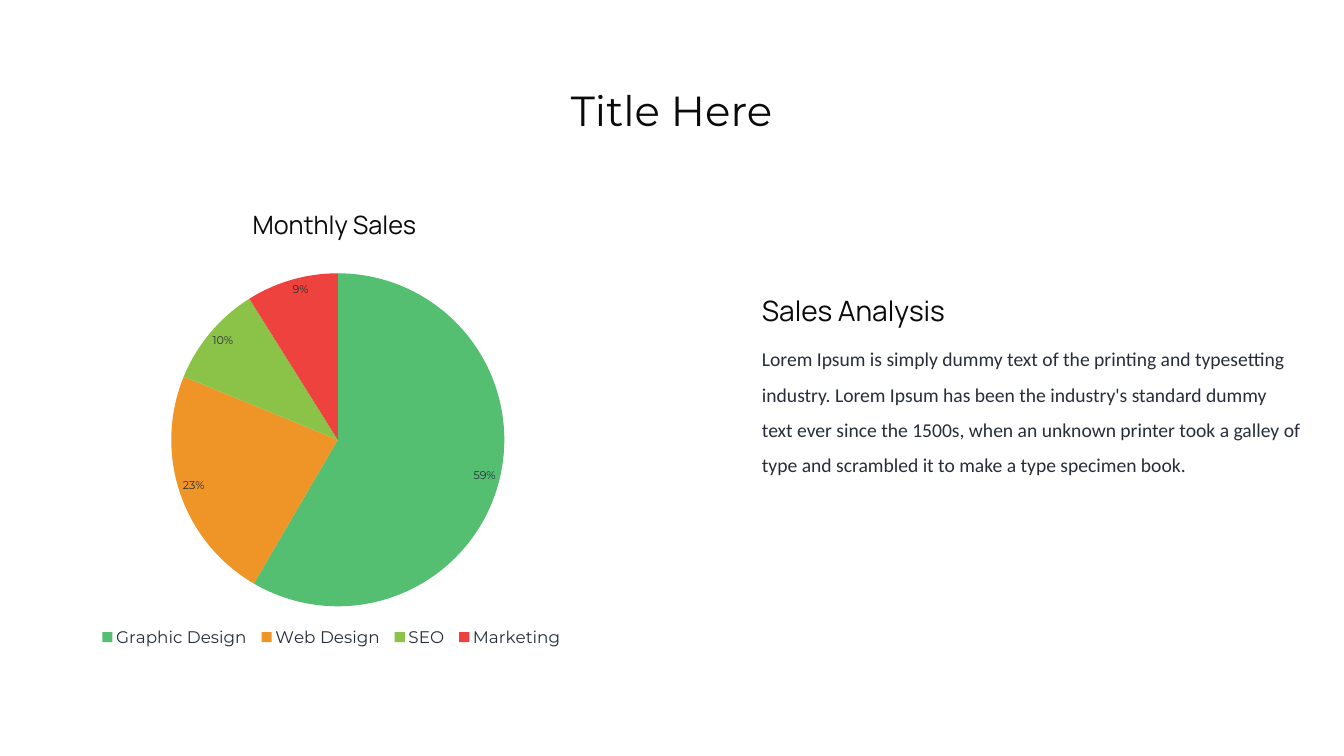
"""Build a sales slide with a pie chart of monthly sales and a short analysis."""
from dataclasses import dataclass

from lxml import etree
from pptx import Presentation
from pptx import util as u
from pptx.chart import data as chart_data
from pptx.dml import color
from pptx.enum import chart as charts
from pptx.enum import text
from pptx.oxml import ns

TITLE = "Title Here"
CHART_HEADING = "Monthly Sales"
ANALYSIS_HEADING = "Sales Analysis"
ANALYSIS = (
    "Lorem Ipsum\u00a0is simply dummy text of the printing and typesetting industry. "
    "Lorem Ipsum has been the industry's standard dummy text ever since the 1500s, "
    "when an unknown printer took a galley of type and scrambled it to make a type "
    "specimen book."
).replace("\u00a0", " ")
SALES = [
    ("Graphic Design", 59, "54BE71"),
    ("Web Design", 23, "EF9527"),
    ("SEO", 10, "8BC248"),
    ("Marketing", 9, "ED423D"),
]

EMU_PER_PX = 18143
SLIDE_SIZE = (1344, 756)
PLACES = {
    "title": (92, 40, 1159, 146),
    "chart heading": (193, 207, 283, 36),
    "chart": (-5, 259, 653, 411),
    "analysis": (757, 333, 549, 144),
    "analysis heading": (757, 291, 195, 39),
}
PLOT_LAYOUT = {"x": 0.27, "y": 0.03, "w": 0.51, "h": 0.82}
LEGEND_LAYOUT = {"x": 0.15, "y": 0.88, "w": 0.73, "h": 0.08}


@dataclass(frozen=True)
class Theme:
    ink: str = "0A0A0A"
    body: str = "272E3A"
    title_font: str = "Montserrat"
    heading_font: str = "Manrope"
    body_font: str = "Calibri"
    title_size: int = 60
    chart_heading_size: int = 36
    heading_size: int = 40
    body_size: int = 28
    legend_size: int = 24
    label_size: int = 16


THEME = Theme()


def emu(px):
    return u.Emu(px * EMU_PER_PX)


def place(name):
    return [emu(px) for px in PLACES[name]]


def style(font, name, size, rgb):
    font.name = name
    font.size = u.Pt(size)
    font.color.rgb = color.RGBColor.from_string(rgb)


def add_text(page, name, words, font, align=text.PP_ALIGN.LEFT, spacing=1.0, wrap=True):
    box = page.shapes.add_textbox(*place(name))
    frame = box.text_frame
    frame.word_wrap = wrap
    frame.auto_size = text.MSO_AUTO_SIZE.SHAPE_TO_FIT_TEXT
    para = frame.paragraphs[0]
    para.text = words
    para.alignment = align
    para.line_spacing = spacing
    style(para.font, *font)


def set_layout(parent, index, sizes, inner=False):
    for old in parent.findall(ns.qn("c:layout")):
        parent.remove(old)
    layout = etree.Element(ns.qn("c:layout"))
    manual = etree.SubElement(layout, ns.qn("c:manualLayout"))
    settings = {"layoutTarget": "inner"} if inner else {}
    settings.update({"xMode": "edge", "yMode": "edge"}, **sizes)
    for tag, value in settings.items():
        etree.SubElement(manual, ns.qn(f"c:{tag}")).set("val", str(value))
    parent.insert(index, layout)


def add_title(page):
    title = page.shapes.title
    title.left, title.top, title.width, title.height = place("title")
    title.text_frame.vertical_anchor = text.MSO_ANCHOR.MIDDLE
    para = title.text_frame.paragraphs[0]
    para.text = TITLE
    para.alignment = text.PP_ALIGN.CENTER
    para.line_spacing = 0.9
    style(para.font, THEME.title_font, THEME.title_size, THEME.ink)


def add_pie(page):
    data = chart_data.CategoryChartData()
    data.categories = [name for name, _, _ in SALES]
    data.add_series("Series 1", [share for _, share, _ in SALES])
    chart = page.shapes.add_chart(
        charts.XL_CHART_TYPE.PIE, *place("chart"), data
    ).chart
    chart.has_title = False
    style(chart.font, THEME.title_font, 18, THEME.body)

    plot = chart.plots[0]
    plot.vary_by_categories = True
    for index, (_, _, rgb) in enumerate(SALES):
        fill = plot.series[0].points[index].format.fill
        fill.solid()
        fill.fore_color.rgb = color.RGBColor.from_string(rgb)

    plot.has_data_labels = True
    labels = plot.data_labels
    labels.show_value = True
    labels.number_format = '0"%"'
    labels.number_format_is_linked = False
    labels.position = charts.XL_LABEL_POSITION.INSIDE_END
    style(labels.font, THEME.title_font, THEME.label_size, THEME.body)

    chart.has_legend = True
    legend = chart.legend
    legend.position = charts.XL_LEGEND_POSITION.TOP
    legend.include_in_layout = False
    style(legend.font, THEME.title_font, THEME.legend_size, THEME.body)
    plot_area = chart.element.find(".//" + ns.qn("c:plotArea"))
    set_layout(plot_area, 0, PLOT_LAYOUT, inner=True)
    set_layout(chart.element.find(".//" + ns.qn("c:legend")), 1, LEGEND_LAYOUT)


def main():
    deck = Presentation()
    deck.slide_width, deck.slide_height = [emu(px) for px in SLIDE_SIZE]
    page = deck.slides.add_slide(deck.slide_layouts.get_by_name("Title Only"))
    add_title(page)
    add_text(page, "chart heading", CHART_HEADING,
             (THEME.heading_font, THEME.chart_heading_size, THEME.ink),
             align=text.PP_ALIGN.CENTER)
    add_pie(page)
    add_text(page, "analysis", ANALYSIS,
             (THEME.body_font, THEME.body_size, THEME.body), spacing=1.5)
    add_text(page, "analysis heading", ANALYSIS_HEADING,
             (THEME.heading_font, THEME.heading_size, THEME.ink), wrap=False)
    deck.save("out.pptx")


if __name__ == "__main__":
    main()
